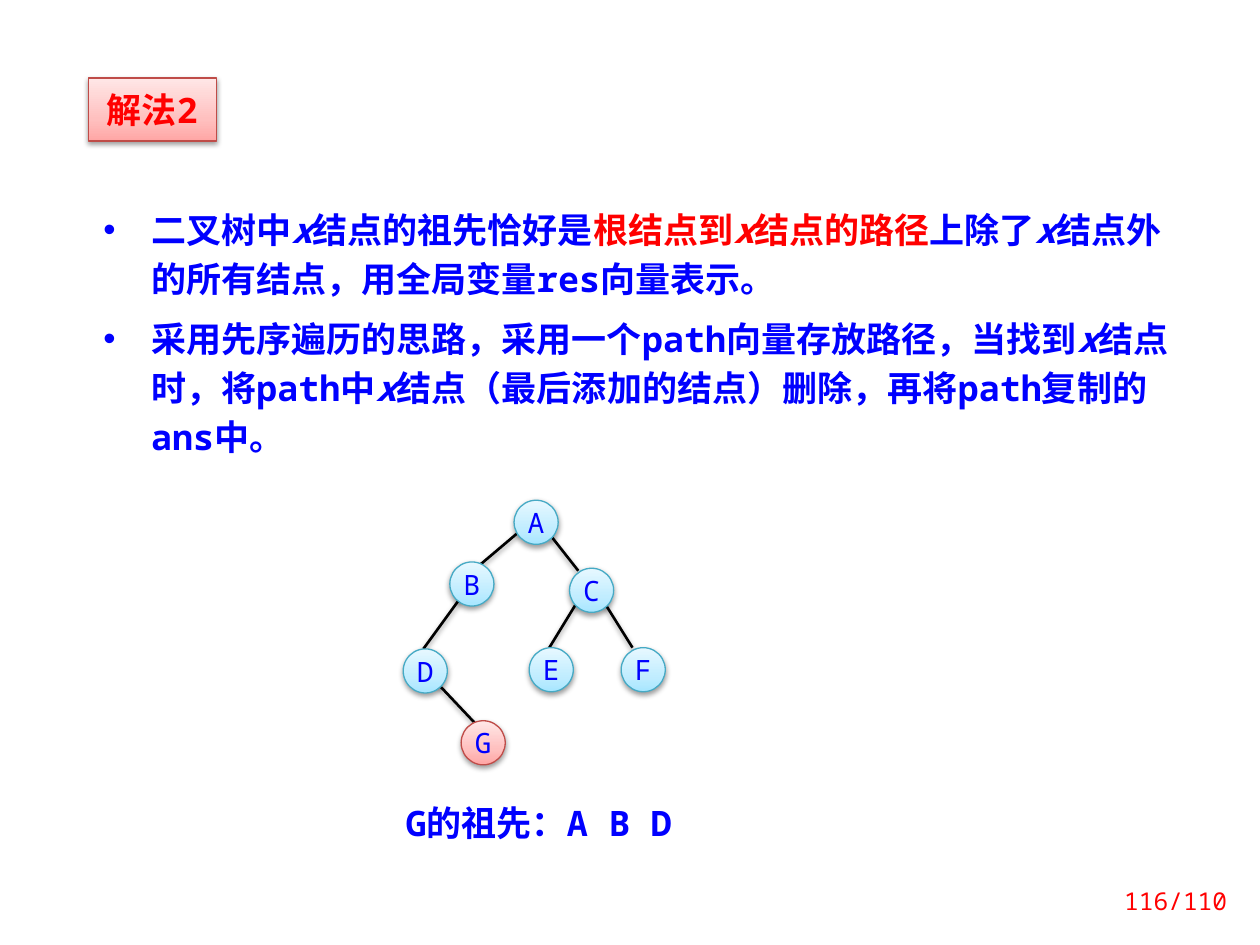
"""Build a slide on finding the ancestors of a binary tree node."""
from lxml import etree
from pptx import Presentation
from pptx.dml.color import RGBColor
from pptx.enum.shapes import MSO_CONNECTOR, MSO_SHAPE
from pptx.enum.text import MSO_ANCHOR, MSO_AUTO_SIZE, PP_ALIGN
from pptx.oxml.ns import qn
from pptx.util import Inches, Pt

OVAL, STRAIGHT = MSO_SHAPE.OVAL, MSO_CONNECTOR.STRAIGHT
TOP, MIDDLE, NO_FIT = MSO_ANCHOR.TOP, MSO_ANCHOR.MIDDLE, MSO_AUTO_SIZE.NONE
LEFT, CENTER, RIGHT = PP_ALIGN.LEFT, PP_ALIGN.CENTER, PP_ALIGN.RIGHT

FONT = "Noto Sans Mono"
BLUE, RED, BLACK, WHITE = "0000FF", "FF0000", "000000", "FFFFFF"
ROSE = ("BF4C48", ((0, "FFA6A5"), (35, "FFC0BF"), (100, "FFE7E7")))
AQUA = ("46AAC5", ((0, "A7E6FF"), (35, "C1EDFF"), (100, "E7F8FF")))

TITLE = "解法2"
X = ("x", BLUE, True)
POINTS = [
    [("二叉树中", BLUE, False), X, ("结点的祖先恰好是", BLUE, False),
     ("根结点到", RED, False), ("x", RED, True), ("结点的路径", RED, False),
     ("上除了", BLUE, False), X,
     ("结点外的所有结点，用全局变量res向量表示。", BLUE, False)],
    [("采用先序遍历的思路，采用一个path向量存放路径，当找到", BLUE, False), X,
     ("结点时，将path中", BLUE, False), X,
     ("结点（最后添加的结点）删除，再将path复制的ans中。", BLUE, False)],
]
NODES = [
    ("A", 4.08, 3.97, AQUA), ("B", 3.57, 4.46, AQUA), ("C", 4.52, 4.51, AQUA),
    ("E", 4.2, 5.14, AQUA), ("F", 4.93, 5.14, AQUA), ("D", 3.2, 5.15, AQUA),
    ("G", 3.66, 5.72, ROSE),
]
SIZE = 0.35
EDGES = [
    (4.37, 4.25, 4.59, 4.53), (4.58, 4.78, 4.36, 5.14),
    (3.44, 5.39, 3.78, 5.75), (4.77, 4.74, 5.02, 5.14),
    (3.68, 4.71, 3.36, 5.15), (4.25, 4.11, 3.73, 4.55),
]
LABELS = [
    ("G的祖先：A B D", (3.12, 6.31, 2.58, 0.44), 20, BLUE, True, LEFT, TOP),
    ("116/110", (8.7, 6.95, 1.14, 0.4), 14, RED, False, RIGHT, MIDDLE),
]


def rgb(code):
    """Turn a hex string into a colour."""
    return RGBColor.from_string(code)


def add(parent, tag, **attrs):
    """Append a drawing element with the given attributes."""
    values = {key: str(val) for key, val in attrs.items()}
    return etree.SubElement(parent, qn(tag), values)


def place(shape, left, top, width, height):
    """Set the position and size of a shape."""
    shape.left, shape.top = Inches(left), Inches(top)
    shape.width, shape.height = Inches(width), Inches(height)


def outline(shape, color, width):
    """Draw the line of a shape and give it a soft drop shadow."""
    shape.line.color.rgb = rgb(color)
    shape.line.width = Pt(width)
    props = shape._element.spPr
    shade = add(add(props, "a:effectLst"), "a:outerShdw", blurRad=Pt(3.1),
                dist=Pt(1.6), dir=5400000, rotWithShape=0)
    add(add(shade, "a:srgbClr", val=BLACK), "a:alpha", val=38000)


def paint(shape, style):
    """Give a shape an upward gradient with outline and shadow."""
    edge, stops = style
    outline(shape, edge, 0.75)
    props = shape._element.spPr
    grad = add(props, "a:gradFill", rotWithShape=1)
    marks = add(grad, "a:gsLst")
    for pos, color in stops:
        add(add(marks, "a:gs", pos=pos * 1000), "a:srgbClr", val=color)
    add(grad, "a:lin", ang=16200000, scaled=0)
    props.find(qn("a:ln")).addprevious(grad)


def write(para, text, size, color, bold=False, italic=False):
    """Add one formatted run to a paragraph."""
    run = para.add_run()
    run.text = text
    font = run.font
    font.name, font.size = FONT, Pt(size)
    font.bold, font.italic = bold, italic
    font.color.rgb = rgb(color)
    add(run._r.get_or_add_rPr(), "a:ea", typeface=FONT)


def frame(shape, sides, ends, anchor, wrap):
    """Set margins, anchor and wrapping, and return the text frame."""
    box = shape.text_frame
    box.auto_size, box.word_wrap = NO_FIT, wrap
    box.vertical_anchor = anchor
    box.margin_left, box.margin_right = map(Inches, sides)
    box.margin_top = box.margin_bottom = Inches(ends)
    return box


def head(shape):
    """Fill the title."""
    place(shape, 0.7, 0.62, 1.02, 0.5)
    paint(shape, ROSE)
    para = frame(shape, (0.1, 0.1), 0.08, MIDDLE, False).paragraphs[0]
    para.alignment = CENTER
    write(para, TITLE, 20, RED, True)


def body(shape):
    """Fill the bullet list."""
    place(shape, 0.7, 1.48, 8.83, 2.26)
    shape.fill.solid()
    shape.fill.fore_color.rgb = rgb(WHITE)
    box = frame(shape, (0.12, 0.1), 0.12, TOP, True)
    for i, runs in enumerate(POINTS):
        para = box.add_paragraph() if i else box.paragraphs[0]
        para.line_spacing, para.space_before = Pt(28), Pt(6)
        props = para._p.get_or_add_pPr()
        props.set("marL", str(Inches(0.38)))
        props.set("indent", str(Inches(-0.38)))
        add(props, "a:buChar", char="•")
        for text, color, italic in runs:
            write(para, text, 20, color, True, italic)


def tree(shapes):
    """Draw the edges and then the nodes of the tree."""
    for ends in EDGES:
        outline(shapes.add_connector(STRAIGHT, *map(Inches, ends)), BLACK, 1.5)
    for name, left, top, style in NODES:
        node = shapes.add_shape(OVAL, *map(Inches, (left, top, SIZE, SIZE)))
        paint(node, style)
        para = frame(node, (0, 0), 0, MIDDLE, False).paragraphs[0]
        para.alignment = CENTER
        write(para, name, 16, BLUE)


def main():
    """Build and save the slide."""
    deck = Presentation()
    deck.slide_width, deck.slide_height = Inches(10), Inches(7.5)
    slide = deck.slides.add_slide(deck.slide_layouts[1])
    shapes = slide.shapes
    head(shapes.title)
    body(slide.placeholders[1])
    tree(shapes)
    for text, spot, size, color, bold, align, anchor in LABELS:
        label = shapes.add_textbox(*map(Inches, spot))
        para = frame(label, (0.1, 0.1), 0.05, anchor, True).paragraphs[0]
        para.alignment = align
        write(para, text, size, color, bold)
    deck.save("out.pptx")


if __name__ == "__main__":
    main()
